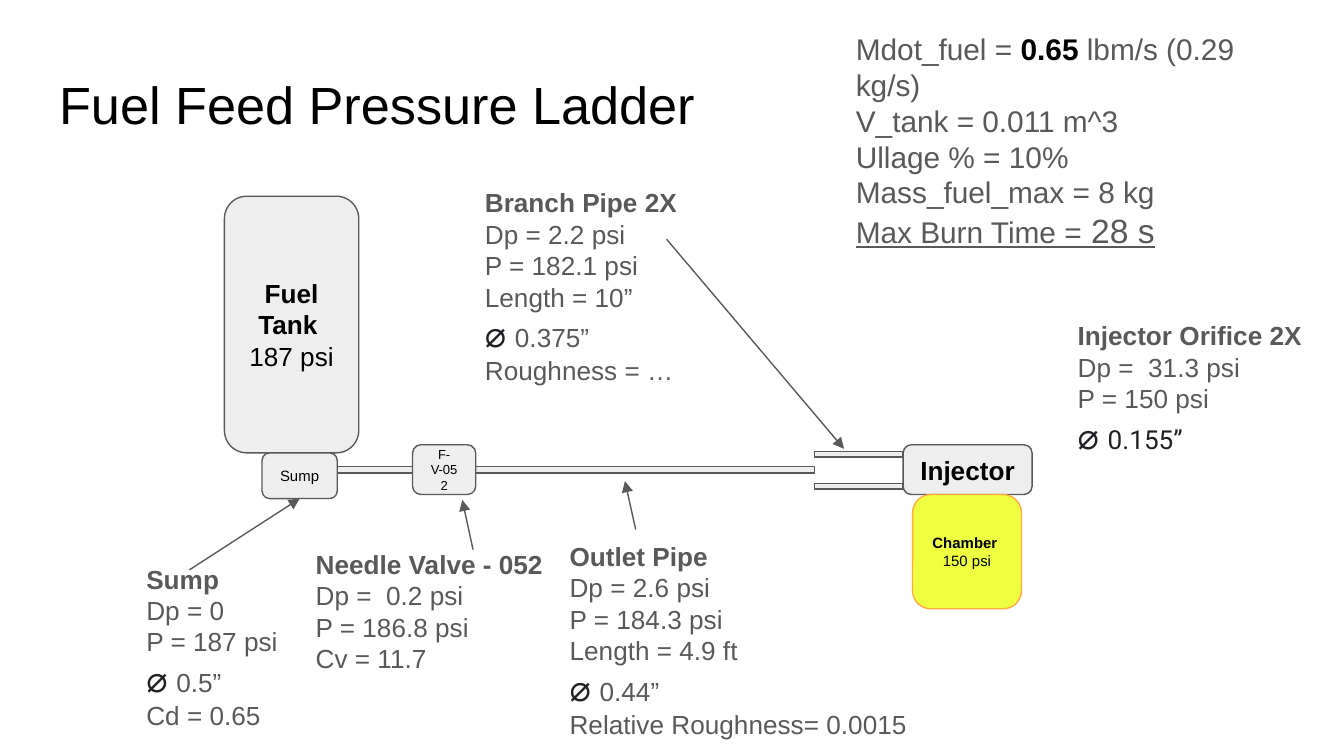
from dataclasses import dataclass
from typing import Optional

from lxml.etree import SubElement
from pptx import Presentation
from pptx.dml.color import RGBColor
from pptx.enum.shapes import MSO_CONNECTOR, MSO_SHAPE
from pptx.enum.text import MSO_ANCHOR, PP_ALIGN
from pptx.oxml.ns import qn
from pptx.util import Inches, Pt

BLACK = RGBColor(0x00, 0x00, 0x00)
GREY = RGBColor(0x59, 0x59, 0x59)
PALE = RGBColor(0xEE, 0xEE, 0xEE)
YELLOW = RGBColor(0xEE, 0xFF, 0x41)
ORANGE = RGBColor(0xFF, 0xAB, 0x40)
INK = RGBColor(0x20, 0x21, 0x24)

CELL = Inches(0.1)  # grid of 100 columns and 56.25 rows
COLUMNS, ROWS = 100, 56.25


@dataclass
class Area:
    column: float
    row: float
    columns: float
    rows: float

    def lengths(self) -> list[int]:
        return [grid(n) for n in (self.column, self.row, self.columns, self.rows)]


@dataclass
class Span:
    text: str
    size: float = 14
    color: RGBColor = GREY
    bold: bool = False
    underline: bool = False
    font: str = "Arial"


@dataclass
class Part:
    area: Area
    lines: tuple[Span, ...] = ()
    rounded: bool = True
    fill: RGBColor = PALE
    outline: RGBColor = GREY


@dataclass
class Note:
    area: Area
    heading: str
    before: tuple[str, ...]
    diameter: Optional[Span] = None
    after: tuple[str, ...] = ()


@dataclass
class Pointer:
    start: tuple[float, float]
    end: tuple[float, float]


def grid(cells: float) -> int:
    return round(cells * CELL)


def write(frame, lines: list[tuple[Span, ...]], align=PP_ALIGN.LEFT, anchor=MSO_ANCHOR.TOP) -> None:
    frame.word_wrap = True
    frame.vertical_anchor = anchor
    frame.margin_left = frame.margin_right = CELL
    frame.margin_top = frame.margin_bottom = CELL
    for index, spans in enumerate(lines):
        para = frame.add_paragraph() if index else frame.paragraphs[0]
        para.alignment = align
        for span in spans:
            run = para.add_run()
            run.text = span.text
            run.font.name = span.font
            run.font.size = Pt(span.size)
            run.font.bold = span.bold
            run.font.underline = span.underline
            run.font.color.rgb = span.color


def draw_part(page, part: Part):
    preset = MSO_SHAPE.ROUNDED_RECTANGLE if part.rounded else MSO_SHAPE.RECTANGLE
    shape = page.shapes.add_shape(preset, *part.area.lengths())
    shape.shadow.inherit = False
    shape.fill.solid()
    shape.fill.fore_color.rgb = part.fill
    shape.line.color.rgb = part.outline
    shape.line.width = Pt(0.75)
    if part.lines:
        write(shape.text_frame, [(span,) for span in part.lines], PP_ALIGN.CENTER, MSO_ANCHOR.MIDDLE)
    return shape


def draw_text(page, area: Area, lines: list[tuple[Span, ...]]) -> None:
    box = page.shapes.add_textbox(*area.lengths())
    write(box.text_frame, lines)


def draw_note(page, note: Note) -> None:
    lines = [(Span(note.heading, bold=True),)]
    lines += [(Span(text),) for text in note.before]
    if note.diameter:
        lines.append((Span("⌀ ", 19, INK, font="Roboto"), note.diameter))
    lines += [(Span(text),) for text in note.after]
    draw_text(page, note.area, lines)


def draw_pointer(page, pointer: Pointer):
    ends = [grid(n) for n in (*pointer.start, *pointer.end)]
    line = page.shapes.add_connector(MSO_CONNECTOR.STRAIGHT, *ends)
    line.line.color.rgb = GREY
    line.line.width = Pt(0.75)
    SubElement(line.line._get_or_add_ln(), qn("a:tailEnd"), type="triangle")
    SubElement(line._element.spPr, qn("a:effectLst"))
    return line


SUMP = Part(Area(19.5, 33.7, 5.6, 3.4), (Span("Sump", 8, BLACK),))
PARTS = [
    Part(Area(16.7, 14.6, 10, 19.1),
         (Span("Fuel Tank ", 14, BLACK, True), Span("187 psi", 14, BLACK))),
    # Pipes: sump to valve, outlet, and the two branches
    Part(Area(25.1, 34.7, 5.6, 0.5), rounded=False),
    Part(Area(35.4, 34.7, 25.2, 0.5), rounded=False),
    *(Part(Area(60.6, row, 6.6, 0.4), rounded=False) for row in (33.6, 36)),
    # Valve, injector and chamber
    Part(Area(30.7, 33.1, 4.7, 3.7), (Span("F-V-052", 7, BLACK),)),
    Part(Area(67.2, 33.1, 9.6, 3.7), (Span("Injector", 14, BLACK, True),)),
    Part(Area(67.9, 36.8, 8.1, 8.5),
         (Span("Chamber ", 8, BLACK, True), Span("150 psi", 8, BLACK)),
         fill=YELLOW, outline=ORANGE),
]
NOTES = [
    Note(Area(41.4, 39.2, 27.3, 16.4), "Outlet Pipe",
         ("Dp = 2.6 psi", "P = 184.3 psi", "Length = 4.9 ft"),
         Span("0.44”"), ("Relative Roughness= 0.0015",)),
    Note(Area(35.1, 12.9, 23.6, 16.4), "Branch Pipe 2X",
         ("Dp = 2.2 psi", "P = 182.1 psi", "Length = 10”"),
         Span("0.375”"), ("Roughness = …",)),
    Note(Area(9.9, 40.9, 13.2, 14.6), "Sump",
         ("Dp = 0", "P = 187 psi"), Span("0.5”"), ("Cd = 0.65",)),
    Note(Area(22.5, 39.8, 19.2, 13.9), "Needle Valve - 052",
         ("Dp =  0.2 psi", "P = 186.8 psi", "Cv = 11.7")),
    Note(Area(79.2, 22.8, 18.8, 12.9), "Injector Orifice 2X",
         ("Dp =  31.3 psi", "P = 150 psi"),
         Span("0.155”", color=INK, font="Roboto")),
]
POINTERS = [
    Pointer((47.3, 39.4), (46.5, 35.8)),  # outlet pipe
    Pointer((49.6, 17.8), (62.8, 33.4)),  # branch pipe
    Pointer((35.2, 40.9), (34.4, 37.2)),  # needle valve
]
SUMP_POINTER = Pointer((14.1, 42.4), (22.3, 37.1))
BURN_FIGURES = [
    (Span("Mdot_fuel = ", 16), Span("0.65 ", 16, BLACK, True), Span("lbm/s (0.29 kg/s)", 16)),
    (Span("V_tank = 0.011 m^3", 16),),
    (Span("Ullage % = 10%", 16),),
    (Span("Mass_fuel_max = 8 kg", 16),),
    (Span("Max Burn Time =", 16, underline=True), Span(" 28 s", 18, underline=True)),
]


def main() -> None:
    deck = Presentation()
    deck.slide_width, deck.slide_height = grid(COLUMNS), grid(ROWS)
    page = deck.slides.add_slide(deck.slide_layouts.get_by_name("Title Only"))

    # Title
    title = page.shapes.title
    title.left, title.top, title.width, title.height = Area(3.4, 4.9, 93.2, 6.3).lengths()
    write(title.text_frame, [(Span("Fuel Feed Pressure Ladder", 28, BLACK),)])
    title.text_frame.paragraphs[0].line_spacing = 0.9

    # Feed line from tank to chamber
    for part in PARTS:
        draw_part(page, part)
    sump = draw_part(page, SUMP)

    # Readings and their pointers
    for note in NOTES:
        draw_note(page, note)
    draw_text(page, Area(62.7, 1.3, 35.3, 24), BURN_FIGURES)
    for pointer in POINTERS:
        draw_pointer(page, pointer)
    draw_pointer(page, SUMP_POINTER).end_connect(sump, 2)

    deck.save("out.pptx")


if __name__ == "__main__":
    main()
